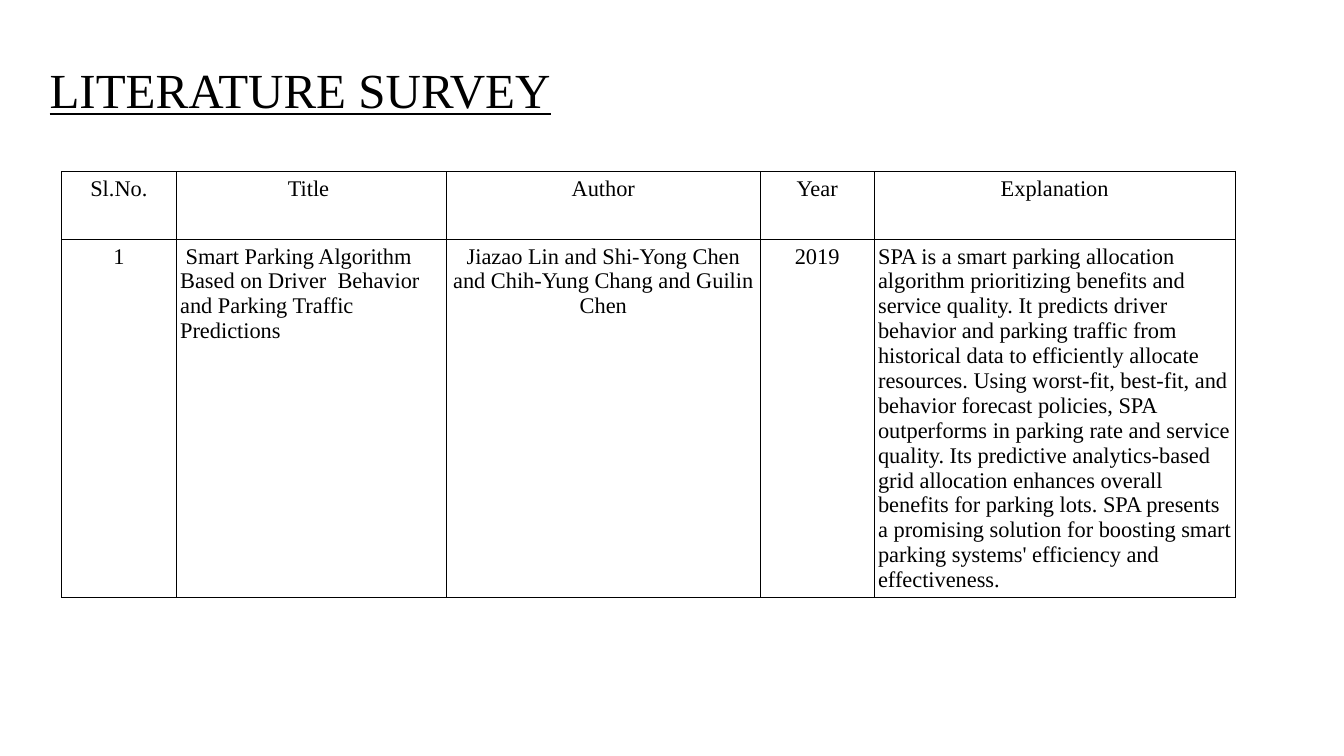
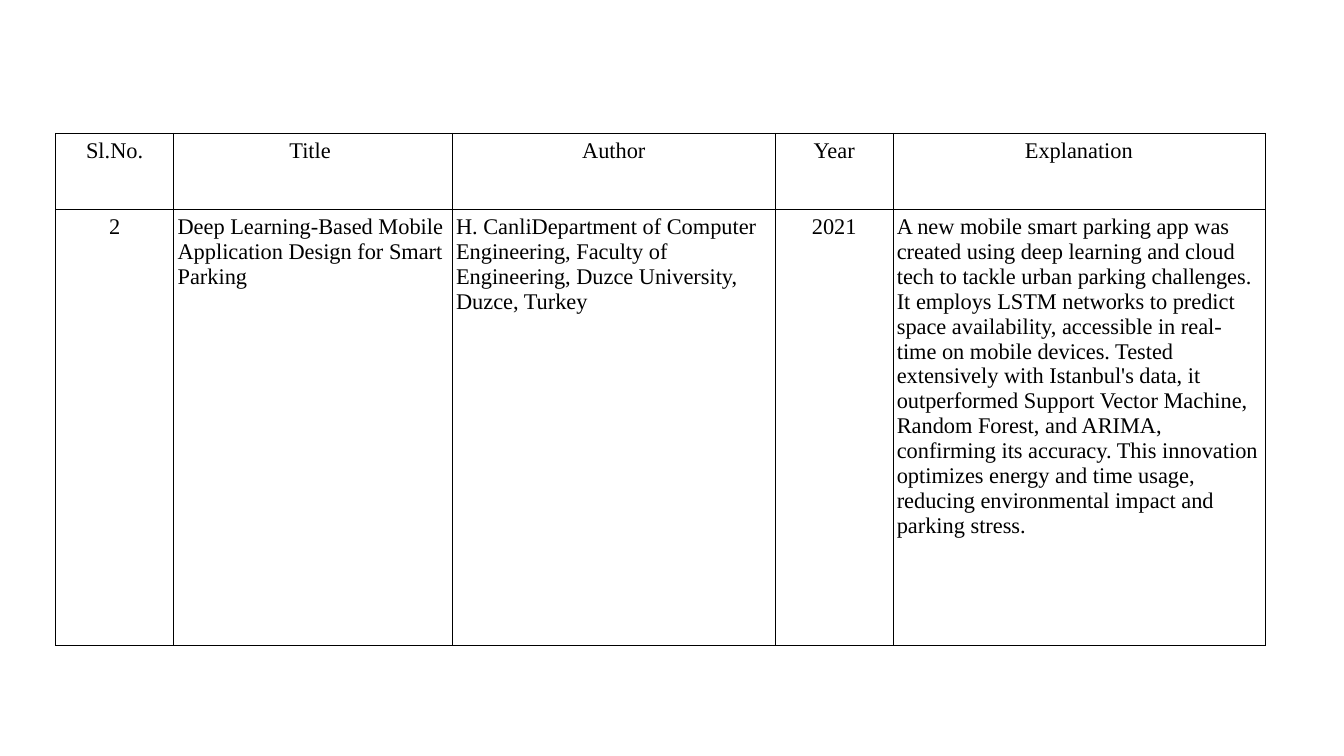
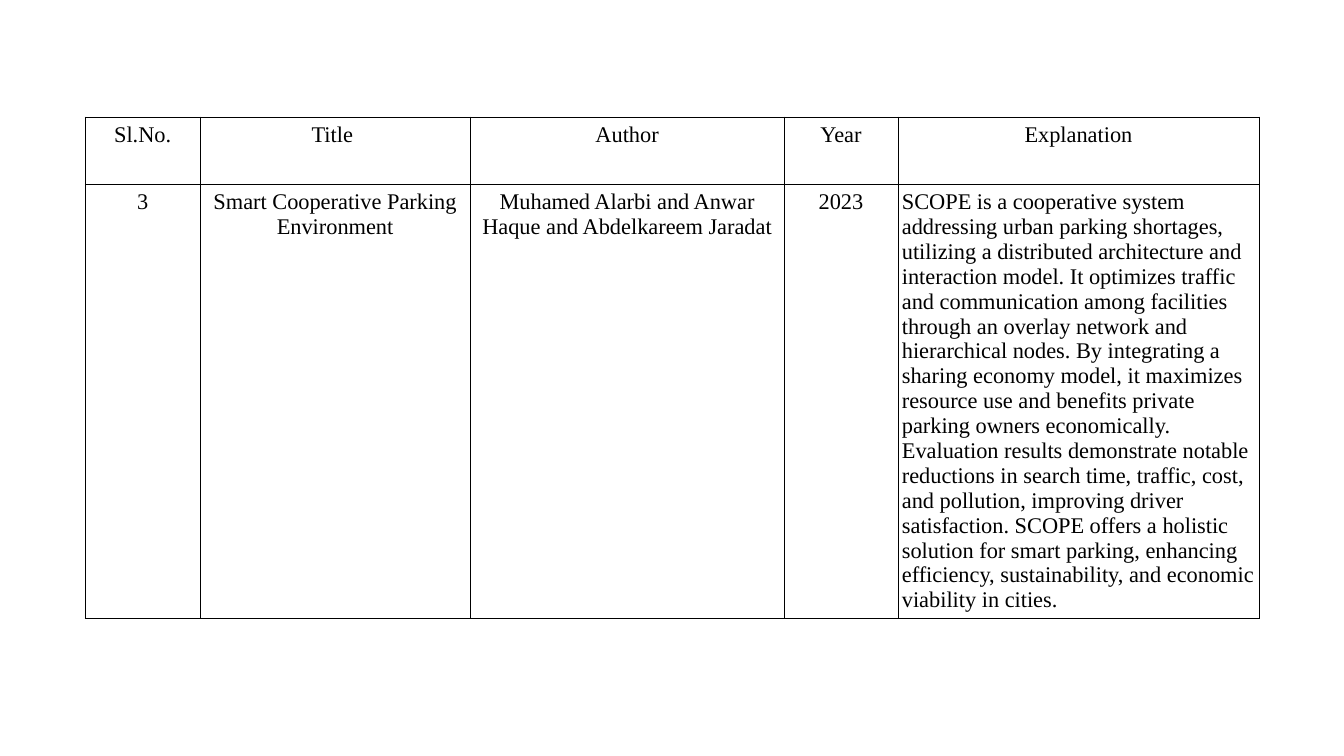
"""Builds the literature survey slides, one study table per slide."""
from dataclasses import dataclass

from lxml import etree
from pptx import Presentation
from pptx import util as u
from pptx.dml.color import RGBColor
from pptx.enum import text
from pptx.oxml import ns

FONT = "Times New Roman"
BLACK = "000000"
WHITE = "FFFFFF"
TITLE_ONLY, BLANK = 5, 6
CENTER, LEFT = text.PP_ALIGN.CENTER, text.PP_ALIGN.LEFT
HEADINGS = ("Sl.No.", "Title ", "Author", "Year", "Explanation")
COLUMNS = (2.89, 6.81, 7.91, 2.87, 9.1)
SIDE_INSET = 0.1
TOP_INSET = 0.13
BORDER = u.Pt(0.57)


@dataclass(frozen=True)
class Study:
    """One surveyed paper and the place of its table, in centimetres."""

    values: tuple[str, ...]
    left: float
    top: float
    width: float
    rows: tuple[float, float]
    left_columns: tuple[int, ...] = (4,)
    title: str = ""


STUDIES = (
    Study(
        ("1",
         " Smart Parking Algorithm Based on Driver  Behavior and Parking Traffic Predictions",
         "Jiazao Lin and Shi-Yong Chen and Chih-Yung Chang and Guilin Chen",
         "2019",
         "SPA is a smart parking allocation algorithm prioritizing benefits and service "
         "quality. It predicts driver behavior and parking traffic from historical data to "
         "efficiently allocate resources. Using worst-fit, best-fit, and behavior forecast "
         "policies, SPA outperforms in parking rate and service quality. Its predictive "
         "analytics-based grid allocation enhances overall benefits for parking lots. SPA "
         "presents a promising solution for boosting smart parking systems' efficiency "
         "and effectiveness."),
        left=1.55, top=4.32, width=29.58, rows=(1.7, 9.02),
        left_columns=(1, 4), title="LITERATURE SURVEY"),
    Study(
        ("2",
         "Deep Learning-Based Mobile Application Design for Smart Parking",
         "H. CanliDepartment of Computer Engineering, Faculty of Engineering, Duzce "
         "University, Duzce, Turkey",
         "2021",
         "A new mobile smart parking app was created using deep learning and cloud tech to "
         "tackle urban parking challenges. It employs LSTM networks to predict space "
         "availability, accessible in real-time on mobile devices. Tested extensively with "
         "Istanbul's data, it outperformed Support Vector Machine, Random Forest, and ARIMA, "
         "confirming its accuracy. This innovation optimizes energy and time usage, reducing "
         "environmental impact and parking stress."),
        left=1.4, top=3.36, width=30.48, rows=(1.92, 10.98),
        left_columns=(1, 2, 4)),
    Study(
        ("3",
         "Smart Cooperative Parking Environment",
         "Muhamed Alarbi and Anwar Haque and Abdelkareem Jaradat",
         "2023",
         "SCOPE is a cooperative system addressing urban parking shortages, utilizing a "
         "distributed architecture and interaction model. It optimizes traffic and "
         "communication among facilities through an overlay network and hierarchical nodes. "
         "By integrating a sharing economy model, it maximizes resource use and benefits "
         "private parking owners economically. Evaluation results demonstrate notable "
         "reductions in search time, traffic, cost, and pollution, improving driver "
         "satisfaction. SCOPE offers a holistic solution for smart parking, enhancing "
         "efficiency, sustainability, and economic viability in cities."),
        left=2.15, top=2.95, width=29.58, rows=(1.7, 10.93)),
)


def color(value: str) -> RGBColor:
    """Turn a hex string into a colour."""
    return RGBColor.from_string(value)


def write(frame, words: str, *, size: float = 16, align=LEFT,
          underline: bool = False, before: float = 0) -> None:
    """Fill a text frame with one formatted paragraph."""
    frame.word_wrap = True
    para = frame.paragraphs[0]
    para.alignment = align
    para.line_spacing = 1.0
    para.space_before = u.Pt(before)
    span = para.add_run()
    span.text = words
    span.font.name = FONT
    span.font.size = u.Pt(size)
    span.font.underline = underline
    span.font.color.rgb = color(BLACK)


def add_borders(cell) -> None:
    """Draw a thin line on all four sides of a cell."""
    properties = cell._tc.get_or_add_tcPr()
    for index, side in enumerate(("a:lnL", "a:lnR", "a:lnT", "a:lnB")):
        line = etree.Element(ns.qn(side), w=str(int(BORDER)))
        fill = etree.SubElement(line, ns.qn("a:solidFill"))
        etree.SubElement(fill, ns.qn("a:srgbClr"), val=BLACK)
        properties.insert(index, line)


def add_title(page, words: str) -> None:
    """Place the underlined slide title."""
    box = page.shapes.title
    box.left, box.top = u.Cm(1.25), u.Cm(1.47)
    box.width, box.height = u.Cm(17.48), u.Cm(2.39)
    frame = box.text_frame
    frame.margin_left = frame.margin_right = frame.margin_bottom = 0
    frame.margin_top = u.Cm(0.03)
    frame.vertical_anchor = text.MSO_ANCHOR.TOP
    frame.auto_size = text.MSO_AUTO_SIZE.NONE
    write(frame, words, size=35, underline=True, before=1)


def add_study(page, study: Study) -> None:
    """Draw the table of one study."""
    table = page.shapes.add_table(
        2, len(HEADINGS), u.Cm(study.left), u.Cm(study.top),
        u.Cm(study.width), u.Cm(sum(study.rows))).table
    table.first_row = table.horz_banding = False
    for column, width in zip(table.columns, COLUMNS):
        column.width = u.Cm(width * study.width / sum(COLUMNS))
    for row, height in zip(table.rows, study.rows):
        row.height = u.Cm(height)
    for row, values in enumerate((HEADINGS, study.values)):
        for column, words in enumerate(values):
            cell = table.cell(row, column)
            cell.margin_left = cell.margin_right = u.Cm(SIDE_INSET)
            cell.margin_top = cell.margin_bottom = u.Cm(TOP_INSET)
            cell.fill.solid()
            cell.fill.fore_color.rgb = color(WHITE)
            add_borders(cell)
            is_left = row == 1 and column in study.left_columns
            write(cell.text_frame, words, align=LEFT if is_left else CENTER)


def main() -> None:
    """Build and save the deck."""
    deck = Presentation()
    deck.slide_width, deck.slide_height = u.Cm(33.87), u.Cm(19.05)
    for study in STUDIES:
        layout = deck.slide_layouts[TITLE_ONLY if study.title else BLANK]
        page = deck.slides.add_slide(layout)
        if study.title:
            add_title(page, study.title)
        add_study(page, study)
    deck.save("out.pptx")


if __name__ == "__main__":
    main()
